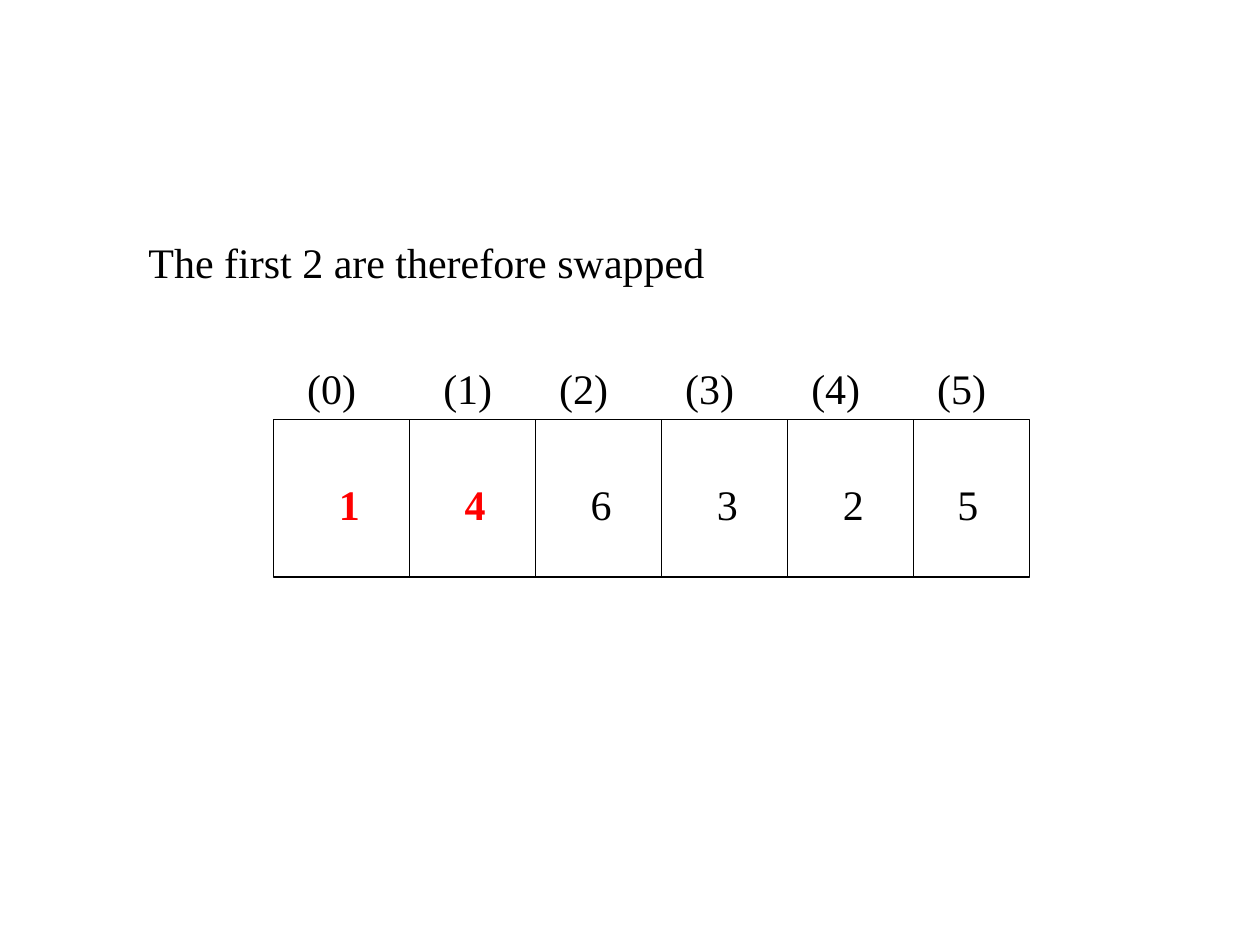
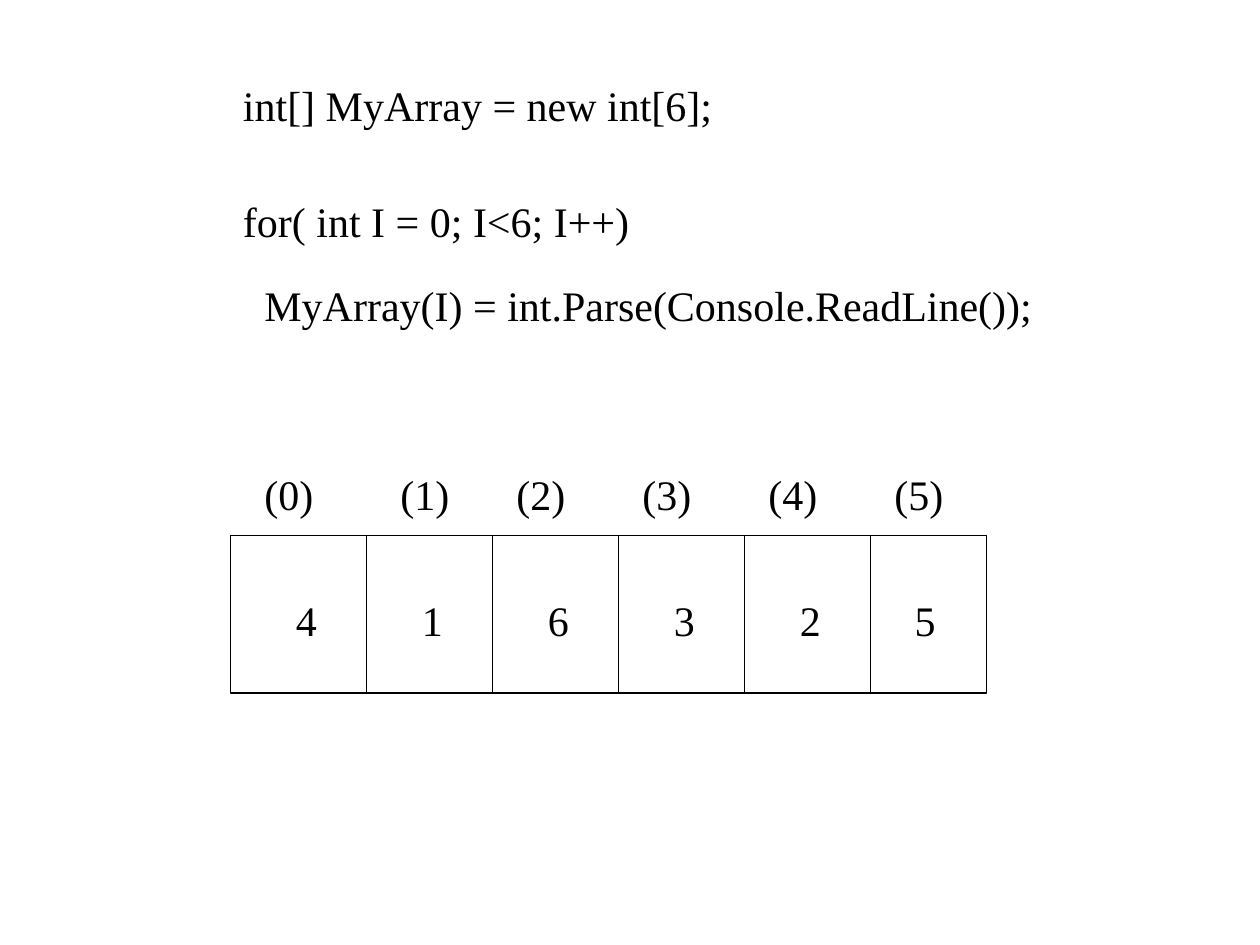
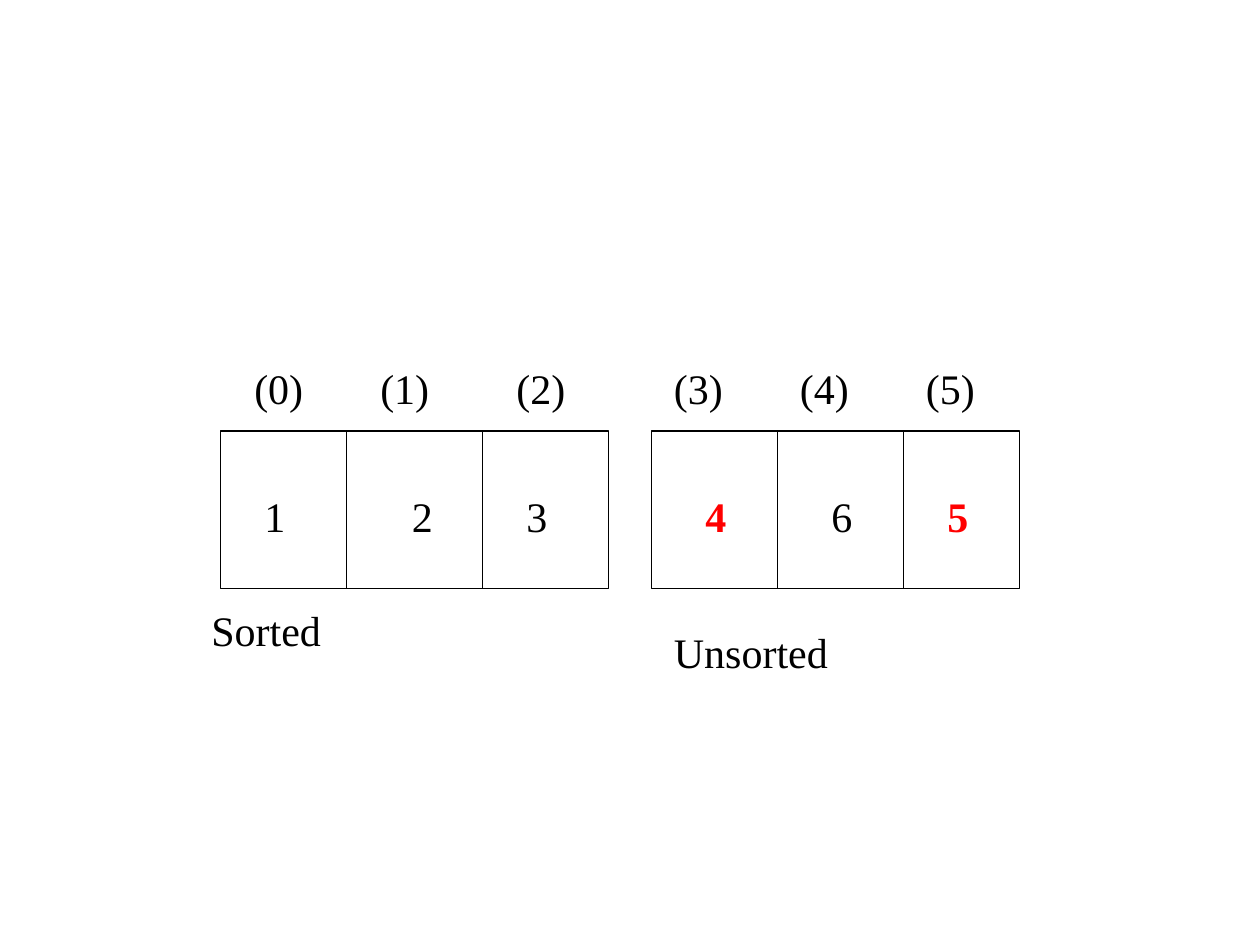
"""Build three slides that show an array being filled, swapped and sorted."""
import dataclasses

import lxml.etree
import pptx
import pptx.dml.color
import pptx.enum.shapes
import pptx.enum.text
import pptx.oxml.ns
import pptx.util

Inches = pptx.util.Inches


@dataclasses.dataclass(frozen=True)
class Theme:
    font: str = "Times New Roman"
    text_size: int = 24
    ink: str = "000000"
    moved: str = "FF0000"
    line_width: float = 0.75
    text_height: float = 0.5
    cell_height: float = 1.25
    value_drop: float = 0.42


THEME = Theme()

INDEX_WIDTHS = (0.83, 0.67, 0.67, 0.83, 0.92, 0.67)
VALUE_WIDTHS = (0.42, 0.5, 0.5, 0.42, 0.42, 0.58)

WHOLE = {
    "width": 6,
    "dividers": (1.08, 2.08, 3.08, 4.08, 5.08),
    "values": (0.42, 1.42, 2.42, 3.42, 4.42, 5.33),
    "indexes": (0.17, 1.25, 2.17, 3.17, 4.17, 5.17),
}
SORTED_PART = {
    "width": 3.08,
    "dividers": (1, 2.08),
    "values": (0.25, 1.42, 2.33),
    "indexes": (0.17, 1.17, 2.25),
}
UNSORTED_PART = {
    "width": 2.92,
    "dividers": (0, 1, 2),
    "values": (0.33, 1.33, 2.25),
    "indexes": (0.08, 1.08, 2.08),
}

SLIDES = [
    {
        "captions": [("The first 2 are therefore swapped", 1.08, 1.83, 5.33)],
        "arrays": [
            {"layout": WHOLE, "left": 2.17, "top": 3.33, "index_top": 2.83,
             "first": 0, "numbers": (1, 4, 6, 3, 2, 5), "moved": (1, 4)},
        ],
    },
    {
        "captions": [
            ("int[] MyArray = new int[6];", 1.83, 0.58, 5.58),
            ("for( int I = 0; I<6; I++)", 1.83, 1.5, 5.75),
            ("MyArray(I) = int.Parse(Console.ReadLine());", 2, 2.17, 7.42),
        ],
        "arrays": [
            {"layout": WHOLE, "left": 1.83, "top": 4.25, "index_top": 3.67,
             "first": 0, "numbers": (4, 1, 6, 3, 2, 5), "moved": ()},
        ],
    },
    {
        "captions": [("Sorted", 1.58, 4.75, 1.17), ("Unsorted", 5.25, 4.92, 1.58)],
        "arrays": [
            {"layout": SORTED_PART, "left": 1.75, "top": 3.42, "index_top": 2.83,
             "first": 0, "numbers": (1, 2, 3), "moved": ()},
            {"layout": UNSORTED_PART, "left": 5.17, "top": 3.42, "index_top": 2.83,
             "first": 3, "numbers": (4, 6, 5), "moved": (4, 5)},
        ],
    },
]


def rgb(colour):
    return pptx.dml.color.RGBColor.from_string(colour)


def write(slide, words, left, top, width, moved=False):
    box = slide.shapes.add_textbox(
        Inches(left), Inches(top), Inches(width), Inches(THEME.text_height))
    frame = box.text_frame
    frame.word_wrap = True
    frame.auto_size = pptx.enum.text.MSO_AUTO_SIZE.SHAPE_TO_FIT_TEXT
    run = frame.paragraphs[0].add_run()
    run.text = words
    run.font.name = THEME.font
    run.font.size = pptx.util.Pt(THEME.text_size)
    run.font.bold = moved
    run.font.color.rgb = rgb(THEME.moved if moved else THEME.ink)


def ink_line(line):
    line.color.rgb = rgb(THEME.ink)
    line.width = pptx.util.Pt(THEME.line_width)


def draw_frame(slide, left, top, layout):
    frame = slide.shapes.add_shape(
        pptx.enum.shapes.MSO_SHAPE.RECTANGLE,
        Inches(left), Inches(top), Inches(layout["width"]), Inches(THEME.cell_height))
    frame.shadow.inherit = False
    frame.fill.background()
    ink_line(frame.line)
    for offset in layout["dividers"]:
        x = Inches(left + offset)
        divider = slide.shapes.add_connector(
            pptx.enum.shapes.MSO_CONNECTOR.STRAIGHT,
            x, Inches(top), x, Inches(top + THEME.cell_height))
        ink_line(divider.line)
        lxml.etree.SubElement(
            divider.element.spPr, pptx.oxml.ns.qn("a:effectLst"))


def draw_array(slide, array):
    layout, left, top = array["layout"], array["left"], array["top"]
    draw_frame(slide, left, top, layout)
    cells = zip(array["numbers"], layout["values"], layout["indexes"])
    for index, (number, value_x, index_x) in enumerate(cells, array["first"]):
        write(slide, str(number), left + value_x, top + THEME.value_drop,
              VALUE_WIDTHS[index], number in array["moved"])
        write(slide, f"({index})", left + index_x, array["index_top"],
              INDEX_WIDTHS[index])


def main():
    deck = pptx.Presentation()
    deck.slide_width, deck.slide_height = Inches(10), Inches(7.5)
    blank = deck.slide_layouts[6]
    for content in SLIDES:
        slide = deck.slides.add_slide(blank)
        for caption in content["captions"]:
            write(slide, *caption)
        for array in content["arrays"]:
            draw_array(slide, array)
    deck.save("out.pptx")


if __name__ == "__main__":
    main()
